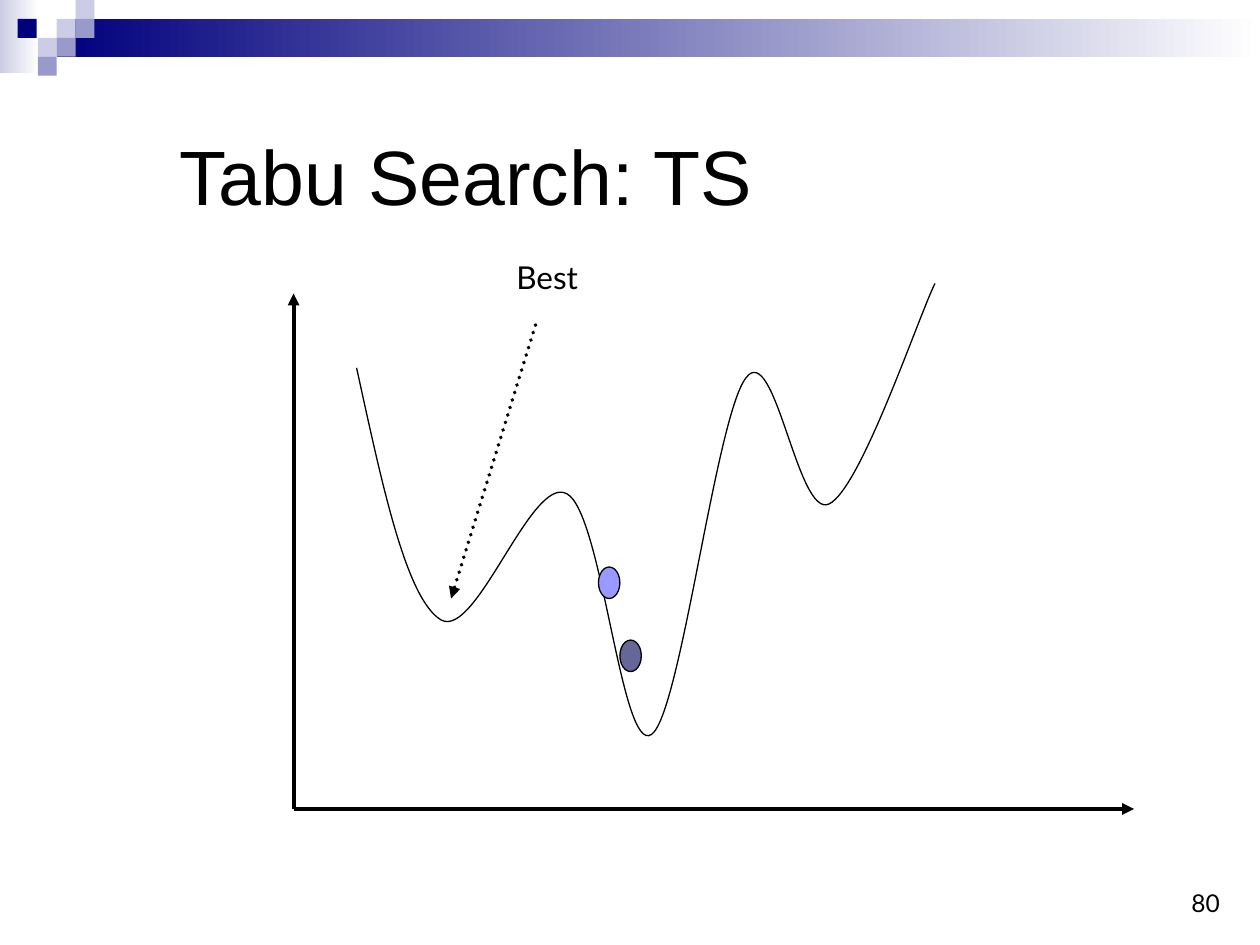
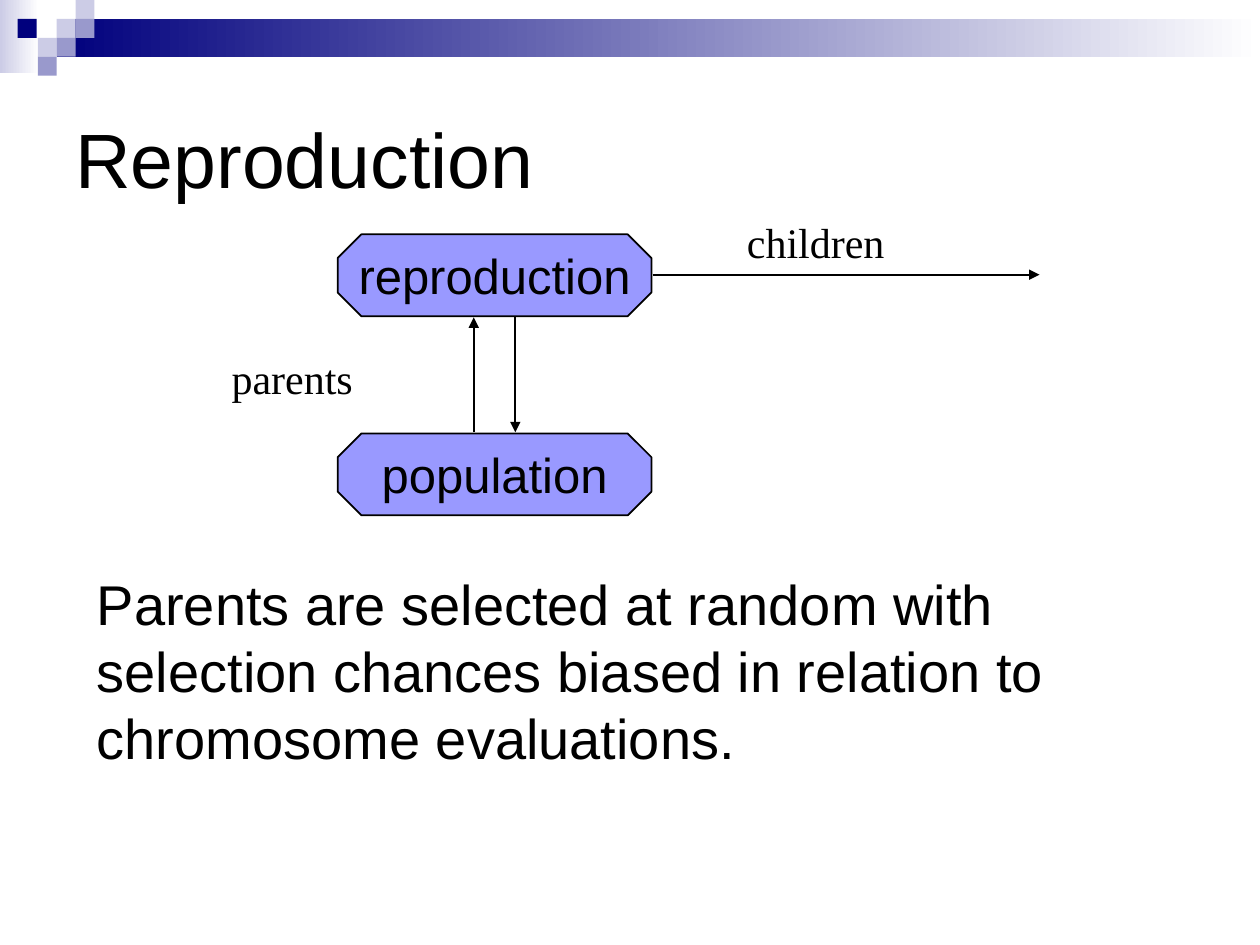
from dataclasses import dataclass

from lxml import etree
from pptx import Presentation
from pptx.dml.color import RGBColor
from pptx.enum.dml import MSO_LINE
from pptx.enum.shapes import MSO_CONNECTOR, MSO_SHAPE
from pptx.enum.text import MSO_ANCHOR, PP_ALIGN
from pptx.oxml.ns import qn
from pptx.util import Inches, Pt

RECTANGLE, OVAL, OCTAGON = MSO_SHAPE.RECTANGLE, MSO_SHAPE.OVAL, MSO_SHAPE.OCTAGON
STRAIGHT, DOTTED = MSO_CONNECTOR.STRAIGHT, MSO_LINE.ROUND_DOT
TOP, MIDDLE, BOTTOM = MSO_ANCHOR.TOP, MSO_ANCHOR.MIDDLE, MSO_ANCHOR.BOTTOM
LEFT, CENTER, RIGHT = PP_ALIGN.LEFT, PP_ALIGN.CENTER, PP_ALIGN.RIGHT

COLORS = {
    "black": "000000",
    "white": "FFFFFF",
    "navy": "00007D",
    "pale": "CCCCE6",
    "lavender": "9999CC",
    "periwinkle": "9999FF",
    "slate": "666699",
}
SANS, LABEL, SERIF = "Arial", "Lato", "Times New Roman"
TILE = 0.15


@dataclass(frozen=True)
class Frame:
    left: float
    top: float
    width: float
    height: float

    def inches(self) -> list:
        return [Inches(n) for n in (self.left, self.top, self.width, self.height)]


@dataclass(frozen=True)
class TextStyle:
    font: str
    size: int
    align: PP_ALIGN = LEFT
    anchor: MSO_ANCHOR = TOP
    wrap: bool = True


@dataclass(frozen=True)
class Arrow:
    start: tuple[float, float]
    end: tuple[float, float]
    width: float
    dotted: bool = False


TITLE = TextStyle(SANS, 44, anchor=MIDDLE)
NUMBER = TextStyle(LABEL, 14, RIGHT, BOTTOM)
BEST = TextStyle(LABEL, 18)
NODE = TextStyle(SANS, 28, CENTER, MIDDLE, wrap=False)
FLOW = TextStyle(SERIF, 24, wrap=False)
BODY = TextStyle(SANS, 32)

# Header bands fade to white; tiles sit on a square grid
BANDS = [(Frame(0, 0, 0.31, 0.58), "pale"), (Frame(0.45, 0.15, 9.55, 0.3), "navy")]
TILES = [
    (0.45, 0.15, "pale"),
    (0.6, 0, "pale"),
    (0.6, 0.15, "lavender"),
    (0.3, 0.3, "pale"),
    (0.14, 0.15, "navy"),
    (0.45, 0.3, "lavender"),
    (0.3, 0.45, "lavender"),
]

# Cost curve: a start point, then three Bezier points per segment
CURVE_START = (2.83, 2.92)
CURVE_POINTS = [
    (3.03, 3.83), (3.22, 4.75), (3.5, 4.92),
    (3.78, 5.08), (4.22, 3.76), (4.5, 3.92),
    (4.78, 4.07), (4.93, 5.99), (5.17, 5.83),
    (5.4, 5.68), (5.68, 3.31), (5.92, 3),
    (6.15, 2.69), (6.33, 4.12), (6.58, 4),
    (6.83, 3.88), (7.28, 2.54), (7.42, 2.25),
]


def color(name: str) -> RGBColor:
    return RGBColor.from_string(COLORS[name])


def write(shape, text: str, style: TextStyle) -> None:
    frame = shape.text_frame
    frame.text = text
    frame.word_wrap = style.wrap
    frame.vertical_anchor = style.anchor
    para = frame.paragraphs[0]
    para.alignment = style.align
    para.font.name = style.font
    para.font.size = Pt(style.size)
    para.font.color.rgb = color("black")


def add_text(page, frame: Frame, text: str, style: TextStyle) -> None:
    write(page.shapes.add_textbox(*frame.inches()), text, style)


def add_solid(page, kind: MSO_SHAPE, frame: Frame, fill: str, outline: float = 0):
    shape = page.shapes.add_shape(kind, *frame.inches())
    shape.shadow.inherit = False
    shape.fill.solid()
    shape.fill.fore_color.rgb = color(fill)
    if outline:
        shape.line.color.rgb = color("black")
        shape.line.width = Pt(outline)
    else:
        shape.line.fill.background()
    return shape


def add_header(page) -> None:
    for frame, start in BANDS:
        band = add_solid(page, RECTANGLE, frame, start)
        band.fill.gradient()
        band.fill.gradient_angle = 0
        for stop, name, position in zip(band.fill.gradient_stops, (start, "white"), (0, 1)):
            stop.color.rgb = color(name)
            stop.position = position
    for left, top, name in TILES:
        add_solid(page, RECTANGLE, Frame(left, top, TILE, TILE), name)


def add_arrow(page, arrow: Arrow) -> None:
    ends = [Inches(n) for n in (*arrow.start, *arrow.end)]
    connector = page.shapes.add_connector(STRAIGHT, *ends)
    connector.line.color.rgb = color("black")
    connector.line.width = Pt(arrow.width)
    properties = connector._element.spPr
    outline = properties.find(qn("a:ln"))
    if arrow.dotted:
        connector.line.dash_style = DOTTED
        outline.set("cap", "rnd")
    etree.SubElement(outline, qn("a:tailEnd"), type="triangle")
    etree.SubElement(properties, qn("a:effectLst"))


def add_curve(page) -> None:
    start, *points = [(Inches(x), Inches(y)) for x, y in (CURVE_START, *CURVE_POINTS)]
    builder = page.shapes.build_freeform(*start)
    builder.add_line_segments(points, close=False)
    curve = builder.convert_to_shape()
    curve.shadow.inherit = False
    curve.fill.background()
    curve.line.color.rgb = color("black")
    curve.line.width = Pt(0.75)
    # Turn every three straight segments into one Bezier segment
    segments = list(curve._element.iter(qn("a:lnTo")))
    for first in range(0, len(segments), 3):
        bezier = etree.Element(qn("a:cubicBezTo"))
        segments[first].addprevious(bezier)
        for segment in segments[first:first + 3]:
            bezier.append(segment[0])
            segment.getparent().remove(segment)


def add_page(deck, title: str, title_frame: Frame):
    page = deck.slides.add_slide(deck.slide_layouts[6])
    add_header(page)
    add_text(page, title_frame, title, TITLE)
    return page


def build_tabu_search(deck) -> None:
    page = add_page(deck, "Tabu Search: TS", Frame(1.33, 0.94, 8.52, 0.9))
    add_text(page, Frame(7.7, 6.83, 2.08, 0.5), "80", NUMBER)

    # Axes
    origin = (2.33, 6.42)
    for tip in ((2.33, 2.33), (9, 6.42)):
        add_arrow(page, Arrow(origin, tip, 2.25))

    # Curve with the current and previous solutions
    add_curve(page)
    for left, top, name in ((4.92, 5.08, "slate"), (4.75, 4.5, "periwinkle")):
        add_solid(page, OVAL, Frame(left, top, 0.17, 0.25), name, 0.75)

    # Best solution pointer
    add_text(page, Frame(4, 2, 1.17, 0.4), "Best", BEST)
    add_arrow(page, Arrow((4.25, 2.58), (3.58, 4.75), 2.25, dotted=True))


def build_reproduction(deck) -> None:
    page = add_page(deck, "Reproduction", Frame(0.5, 0.5, 9, 1.5))

    # Stages
    for text, top in (("reproduction", 1.86), ("population", 3.44)):
        node = add_solid(page, OCTAGON, Frame(2.68, top, 2.49, 0.65), "periwinkle", 1)
        node.adjustments[0] = 0.29
        write(node, text, NODE)

    # Flows
    for start, end in (
        ((5.18, 2.18), (8.25, 2.18)),
        ((3.76, 3.43), (3.76, 2.52)),
        ((4.09, 2.52), (4.09, 3.43)),
    ):
        add_arrow(page, Arrow(start, end, 1))
    add_text(page, Frame(1.74, 2.75, 1.2, 0.5), "parents", FLOW)
    add_text(page, Frame(5.83, 1.67, 1.31, 0.5), "children", FLOW)

    # Explanation
    add_text(
        page,
        Frame(0.67, 4.47, 8.66, 1.7),
        "Parents are selected at random with selection chances biased "
        "in relation to chromosome evaluations.",
        BODY,
    )


def main() -> None:
    deck = Presentation()
    deck.slide_width, deck.slide_height = Inches(10), Inches(7.5)
    build_tabu_search(deck)
    build_reproduction(deck)
    deck.save("out.pptx")


if __name__ == "__main__":
    main()
